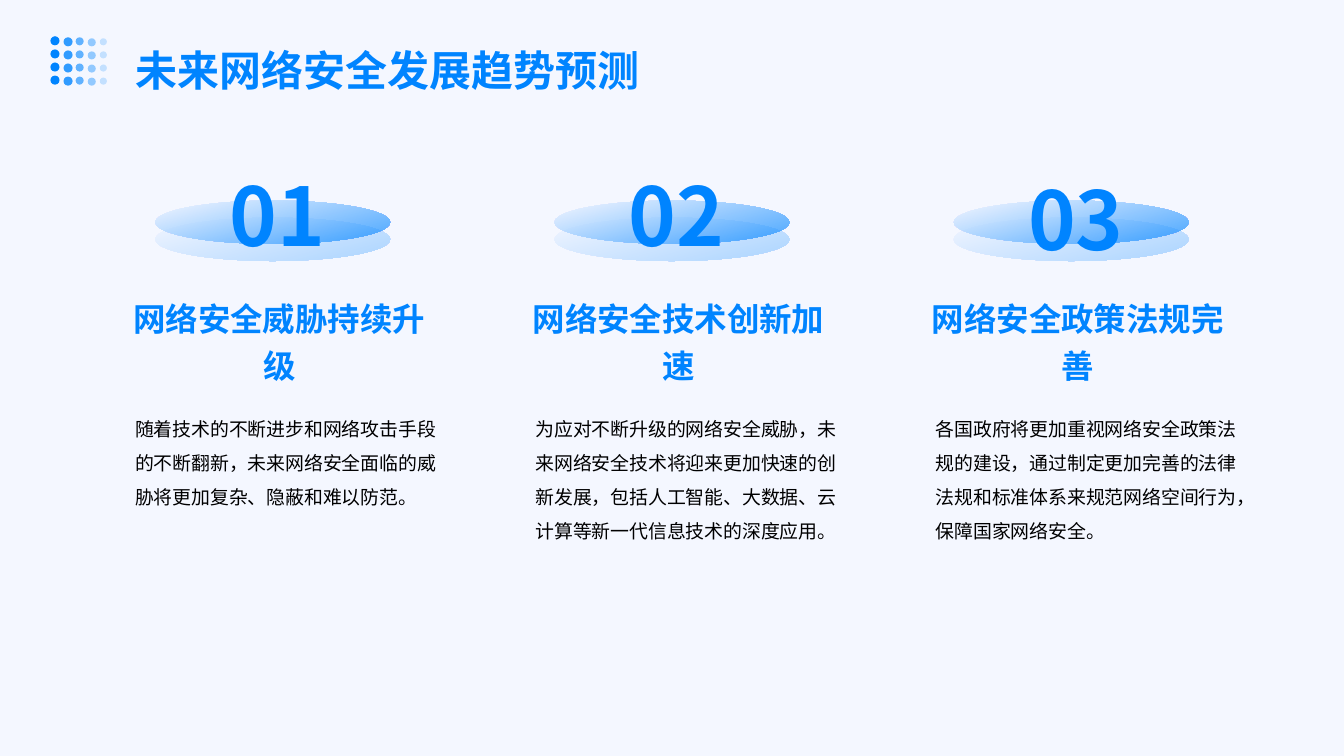
from lxml.etree import SubElement
from pptx import Presentation
from pptx.dml.color import RGBColor
from pptx.enum.shapes import MSO_SHAPE
from pptx.enum.text import MSO_AUTO_SIZE, PP_ALIGN
from pptx.oxml.ns import qn
from pptx.util import Pt

BLUE = RGBColor(0x00, 0x84, 0xFF)
PALE = RGBColor(0xF4, 0xF7, 0xFF)
BLACK = RGBColor(0x00, 0x00, 0x00)
FONT = "Noto Sans CJK SC"
SCALE = 9144
PITCH = 396

TRENDS = [
    ("01", 112, "网络安全威胁持续升级",
     "随着技术的不断进步和网络攻击手段的不断翻新，未来网络安全面临的威胁将更加复杂、隐蔽和难以防范。"),
    ("02", 112, "网络安全技术创新加速",
     "为应对不断升级的网络安全威胁，未来网络安全技术将迎来更加快速的创新发展，"
     "包括人工智能、大数据、云计算等新一代信息技术的深度应用。"),
    ("03", 116, "网络安全政策法规完善",
     "各国政府将更加重视网络安全政策法规的建设，通过制定更加完善的法律法规和标准体系来规范网络空间行为，"
     "保障国家网络安全。"),
]
DOT_COLUMNS = [(50, 36, 9), (63, 37, 9), (75, 37, 8), (87, 38, 8), (99, 38, 7)]


class Deck:
    """Draws styled elements on one slide, with lengths in px."""

    def __init__(self, width, height):
        self.prs = Presentation()
        self.prs.slide_width, self.prs.slide_height = self.emu(width, height)
        self.s = self.prs.slides.add_slide(self.prs.slide_layouts[6])
        fill = self.s.background.fill
        fill.solid()
        fill.fore_color.rgb = PALE

    def emu(self, *lengths):
        return [n * SCALE for n in lengths]

    def oval(self, shapes, box, alpha):
        sp = shapes.add_shape(MSO_SHAPE.OVAL, *self.emu(*box))
        sp.shadow.inherit = False
        sp.line.fill.background()
        return sp

    def set_alpha(self, sp, alpha):
        for color in sp._element.spPr.iter(qn("a:srgbClr")):
            SubElement(color, qn("a:alpha"), val=str(alpha * 1000))

    def dot(self, shapes, box, alpha):
        sp = self.oval(shapes, box, alpha)
        sp.fill.solid()
        sp.fill.fore_color.rgb = BLUE
        if alpha < 100:
            self.set_alpha(sp, alpha)

    def disc(self, box, alpha):
        sp = self.oval(self.s.shapes, box, alpha)
        sp.fill.gradient()
        sp.fill.gradient_angle = 285
        for stop, color in zip(sp.fill.gradient_stops, (PALE, BLUE)):
            stop.color.rgb = color
        self.set_alpha(sp, alpha)

    def text(self, box, text, size, spacing, color=BLUE, bold=True, align=PP_ALIGN.CENTER):
        tf = self.s.shapes.add_textbox(*self.emu(*box)).text_frame
        tf.word_wrap = True
        tf.auto_size = MSO_AUTO_SIZE.SHAPE_TO_FIT_TEXT
        tf.margin_left, tf.margin_top, tf.margin_right, tf.margin_bottom = self.emu(14, 14, 6, 14)
        p = tf.paragraphs[0]
        p.text = text
        p.alignment = align
        p.line_spacing = spacing
        p.font.size = Pt(size)
        p.font.bold = bold
        p.font.color.rgb = color
        p.font.name = FONT
        SubElement(p.font._rPr, qn("a:ea"), typeface=FONT)


def main():
    deck = Deck(1333, 750)
    for i, (number, top, heading, body) in enumerate(TRENDS):
        x = i * PITCH
        deck.disc((154 + x, 216, 233, 43), 30)
        deck.disc((154 + x, 199, 233, 43), 70)
        deck.text((111 + x, 275, 324, 124), heading, 23.2, 1.2)
        deck.text((120 + x + i, 389, 329, 202), body, 13.5, 1.5, BLACK, False, PP_ALIGN.LEFT)
        deck.text((162 + x, top, 218, 168), number, 57.8, 1.4)
    dots = deck.s.shapes.add_group_shape().shapes
    for row in range(4):
        for col, (left, top, size) in enumerate(DOT_COLUMNS):
            deck.dot(dots, (left, top + 13 * row, size, size), 100 - 20 * col)
    deck.text((120, 10, 1094, 100), "未来网络安全发展趋势预测", 30, 1.4, align=PP_ALIGN.LEFT)
    deck.prs.save("out.pptx")


if __name__ == "__main__":
    main()
